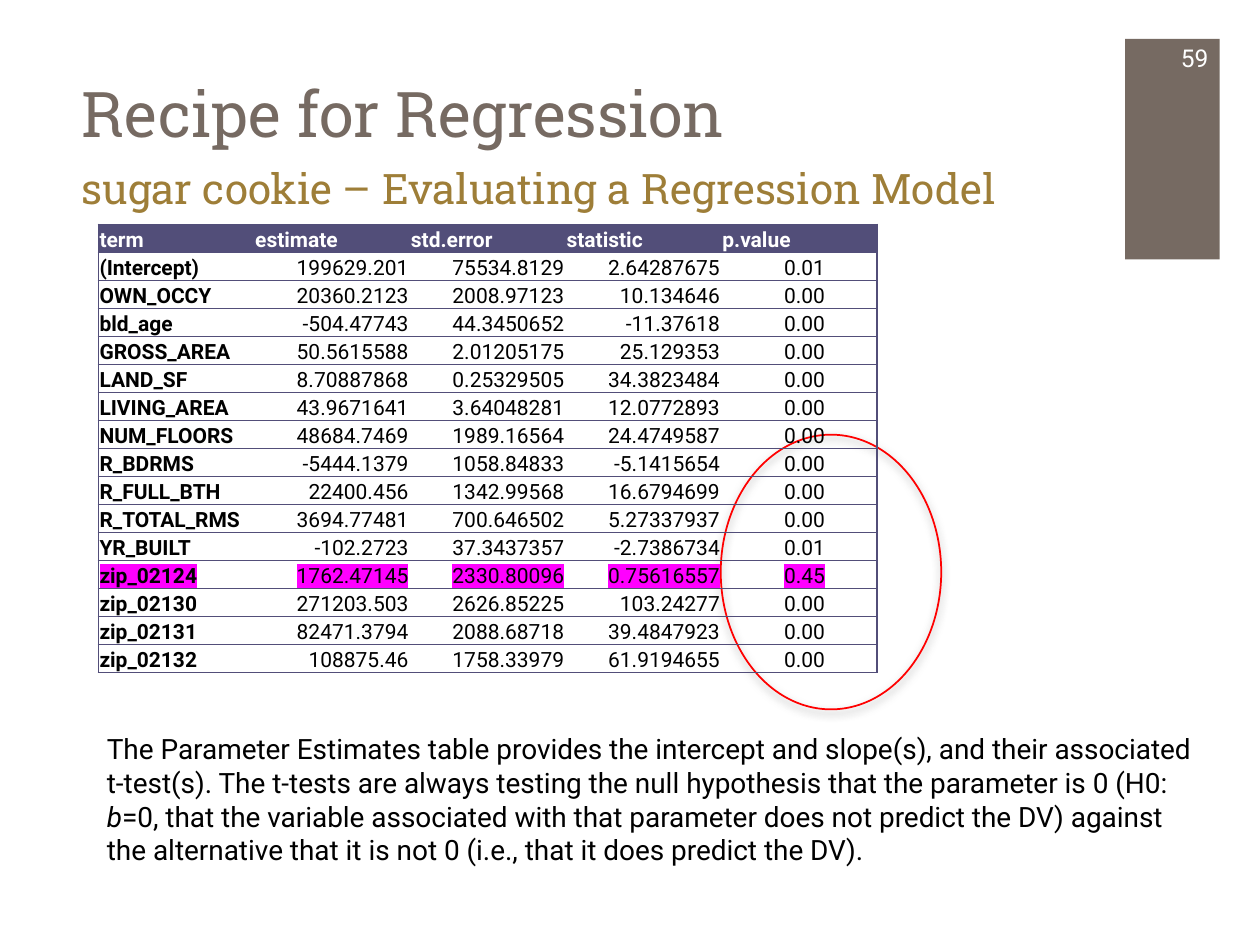
from dataclasses import dataclass, field
from typing import NamedTuple

from lxml.etree import SubElement
from pptx import Presentation
from pptx.dml.color import RGBColor as RGB
from pptx.enum.shapes import MSO_SHAPE as SHAPE
from pptx.enum.text import MSO_ANCHOR as ANCHOR, PP_ALIGN as ALIGN
from pptx.oxml.ns import qn
from pptx.util import Emu, Inches, Pt


@dataclass(frozen=True)
class Theme:
    taupe: str = "766A62"
    gold: str = "9E7E38"
    violet: str = "524E79"
    marker: str = "FF00FF"
    ring: str = "FF0000"
    shadow: str = "808080"
    ink: str = "000000"
    paper: str = "FFFFFF"
    serif: str = "Roboto Slab"
    sans: str = "Roboto"
    sizes: dict = field(default_factory=lambda: {
        "title": 36, "subtitle": 24, "body": 16, "number": 14, "table": 12})


class Box(NamedTuple):
    left: float
    top: float
    width: float
    height: float


class Label(NamedTuple):
    box: Box
    runs: list
    role: str
    font: str
    color: str
    anchor: ANCHOR = ANCHOR.TOP
    align: ALIGN = ALIGN.LEFT


T = Theme()
WIDTH, HEIGHT = Inches(10), Inches(7.5)
P_VALUE_TAB = Inches(0.49)
NO_STYLE = "{2D5ABB26-0587-4C30-8999-92F81FD0307C}"

LABELS = [
    Label(Box(5.5, 2, 82.6, 14.53), [("Recipe for Regression", False)],
          "title", T.serif, T.taupe, ANCHOR.BOTTOM),
    Label(Box(90.8, 3.47, 6.1, 5.33), [("59", False)],
          "number", T.sans, T.paper, ANCHOR.MIDDLE, ALIGN.RIGHT),
    Label(Box(5.5, 16.53, 82.7, 11.33),
          [("sugar cookie – Evaluating a Regression Model", False)],
          "subtitle", T.serif, T.gold),
    Label(Box(7.5, 76.8, 88.4, 19.33), [
        ("The Parameter Estimates table provides the intercept and slope(s), "
         "and their associated t-test(s). The t-tests are always testing the "
         "null hypothesis that the parameter is 0 (H0: ", False),
        ("b", True),
        ("=0, that the variable associated with that parameter does not "
         "predict the DV) against the alternative that it is not 0 (i.e., "
         "that it does predict the DV).", False)],
        "body", T.sans, T.ink),
]

ROWS = [line.split() for line in """
term estimate std.error statistic p.value
(Intercept) 199629.201 75534.8129 2.64287675 0.01
OWN_OCCY 20360.2123 2008.97123 10.134646 0.00
bld_age -504.47743 44.3450652 -11.37618 0.00
GROSS_AREA 50.5615588 2.01205175 25.129353 0.00
LAND_SF 8.70887868 0.25329505 34.3823484 0.00
LIVING_AREA 43.9671641 3.64048281 12.0772893 0.00
NUM_FLOORS 48684.7469 1989.16564 24.4749587 0.00
R_BDRMS -5444.1379 1058.84833 -5.1415654 0.00
R_FULL_BTH 22400.456 1342.99568 16.6794699 0.00
R_TOTAL_RMS 3694.77481 700.646502 5.27337937 0.00
YR_BUILT -102.2723 37.3437357 -2.7386734 0.01
zip_02124 1762.47145 2330.80096 0.75616557 0.45
zip_02130 271203.503 2626.85225 103.24277 0.00
zip_02131 82471.3794 2088.68718 39.4847923 0.00
zip_02132 108875.46 1758.33979 61.9194655 0.00
""".strip().splitlines()]
MARKED_TERM = "zip_02124"


def place(box: Box) -> tuple:
    return (Emu(round(WIDTH * box.left / 100)), Emu(round(HEIGHT * box.top / 100)),
            Emu(round(WIDTH * box.width / 100)), Emu(round(HEIGHT * box.height / 100)))


def add_run(p, text: str, role: str, color: str, font: str = T.sans, **flags):
    r = p.add_run()
    r.text = text
    for name, value in {"name": font, "size": Pt(T.sizes[role]), **flags}.items():
        setattr(r.font, name, value)
    r.font.color.rgb = RGB.from_string(color)
    return r


def add_color(parent, color: str):
    fill = SubElement(parent, qn("a:solidFill"))
    return SubElement(fill, qn("a:srgbClr"), val=color)


def add_label(s, label: Label) -> None:
    tf = s.shapes.add_textbox(*place(label.box)).text_frame
    tf.word_wrap = True
    tf.vertical_anchor = label.anchor
    p = tf.paragraphs[0]
    p.alignment = label.align
    for text, italic in label.runs:
        add_run(p, text, label.role, label.color, label.font, italic=italic)


def add_panel(s, box: Box) -> None:
    sp = s.shapes.add_shape(SHAPE.RECTANGLE, *place(box))
    sp.shadow.inherit = False
    sp.fill.solid()
    sp.fill.fore_color.rgb = RGB.from_string(T.taupe)
    sp.line.fill.background()


def add_ring(s, box: Box) -> None:
    sp = s.shapes.add_shape(SHAPE.OVAL, *place(box))
    sp.shadow.inherit = False
    sp.fill.background()
    sp.line.color.rgb = RGB.from_string(T.ring)
    sp.line.width = Pt(1)
    effects = sp._element.spPr.find(qn("a:effectLst"))
    shadow = SubElement(effects, qn("a:outerShdw"), blurRad=str(Pt(5)),
                        dist=str(Pt(2)), dir="5400000", rotWithShape="0")
    color = SubElement(shadow, qn("a:srgbClr"), val=T.shadow)
    SubElement(color, qn("a:alpha"), val="75000")


def set_borders(cell, sides: list) -> None:
    tcPr = cell._tc.get_or_add_tcPr()
    for i, side in enumerate(sides):
        line = SubElement(tcPr, qn(f"a:ln{side}"), w=str(Pt(1)))
        add_color(line, T.violet)
        tcPr.insert(i, line)


def fill_cell(cell, text: str, row: int, col: int, marked: bool) -> None:
    last = len(ROWS[0]) - 1
    header = row == 0
    for name, value in {"margin_left": Inches(0.01), "margin_right": Inches(0.01),
                        "margin_top": Inches(0.01), "margin_bottom": 0,
                        "vertical_anchor": ANCHOR.BOTTOM}.items():
        setattr(cell, name, value)
    if header:
        cell.fill.solid()
        cell.fill.fore_color.rgb = RGB.from_string(T.violet)
    else:
        cell.fill.background()
    edges = {"L": col == 0, "R": col == last, "T": True, "B": True}
    set_borders(cell, [side for side, drawn in edges.items() if drawn])

    p = cell.text_frame.paragraphs[0]
    if not header and col == last:
        tabs = SubElement(p._p.get_or_add_pPr(), qn("a:tabLst"))
        SubElement(tabs, qn("a:tab"), pos=str(P_VALUE_TAB), algn="l")
        text = f"\t{text}"
    elif not header and col > 0:
        p.alignment = ALIGN.RIGHT
    r = add_run(p, text, "table", T.paper if header else T.ink,
                bold=header or col == 0)
    if marked:
        highlight = SubElement(r.font._element, qn("a:highlight"))
        SubElement(highlight, qn("a:srgbClr"), val=T.marker)
        r.font._element.find(qn("a:solidFill")).addnext(highlight)


def add_estimates(s, box: Box) -> None:
    frame = s.shapes.add_table(len(ROWS), len(ROWS[0]), *place(box))
    table = frame.table
    table._tbl.tblPr.find(qn("a:tableStyleId")).text = NO_STYLE
    for i, row in enumerate(ROWS):
        for j, text in enumerate(row):
            fill_cell(table.cell(i, j), text, i, j, row[0] == MARKED_TERM)


def main() -> None:
    prs = Presentation()
    prs.slide_width, prs.slide_height = WIDTH, HEIGHT
    s = prs.slides.add_slide(prs.slide_layouts[6])
    add_panel(s, Box(89.3, 4.13, 7.5, 23.33))
    for label in LABELS[:3]:
        add_label(s, label)
    add_ring(s, Box(57.2, 46, 17.5, 29.07))
    add_label(s, LABELS[3])
    add_estimates(s, Box(7.8, 23.73, 61.8, 47.47))
    prs.save("out.pptx")


if __name__ == "__main__":
    main()
